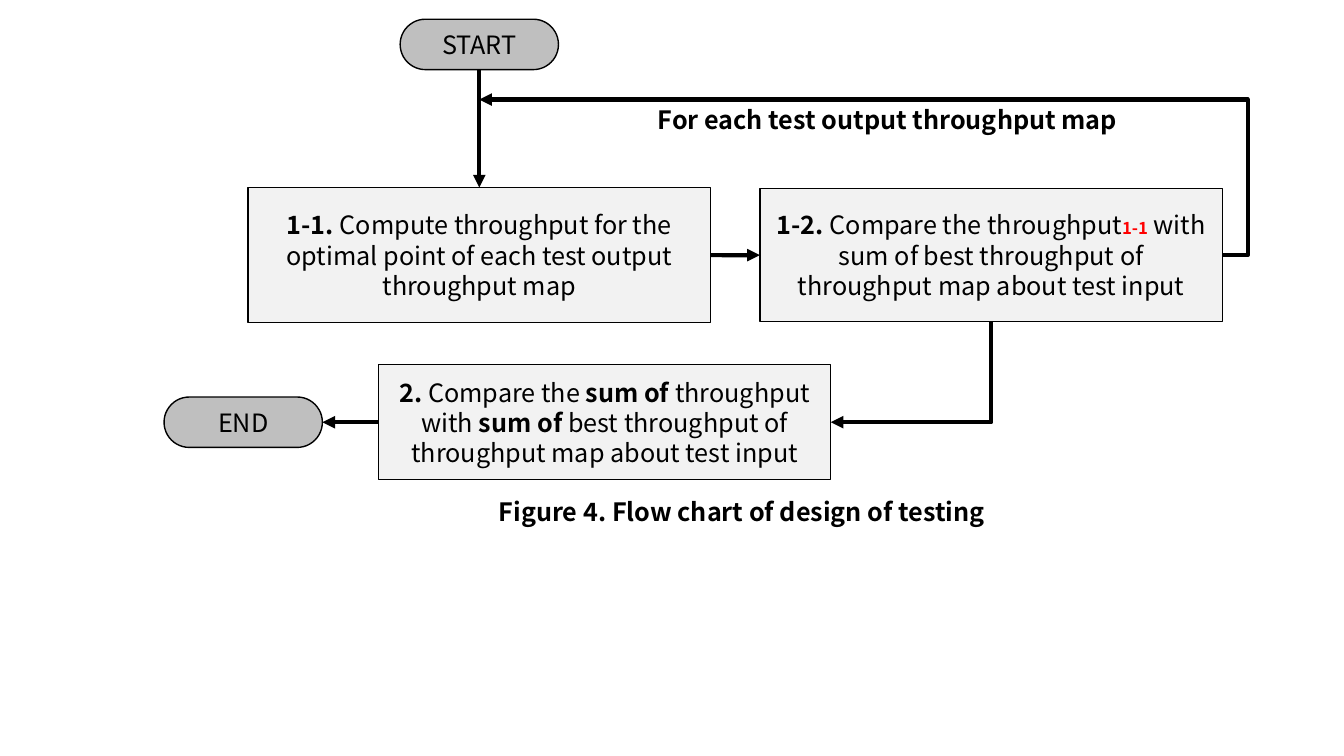
"""Build the flow chart slide for the design of testing."""
from lxml.etree import SubElement
from pptx import Presentation
from pptx.dml.color import RGBColor as RGB
from pptx.enum.shapes import MSO_CONNECTOR as Link, MSO_SHAPE as Form
from pptx.enum.text import MSO_ANCHOR as Anchor, MSO_AUTO_SIZE as Auto, PP_ALIGN as Align
from pptx.oxml.ns import qn
from pptx.util import Cm, Pt

FONT = "Noto Sans CJK KR"
BLACK = RGB(0, 0, 0)
RED = RGB(255, 0, 0)
GREY = RGB(0xBF, 0xBF, 0xBF)
PALE = RGB(0xF2, 0xF2, 0xF2)
PLAIN = (False, 18, BLACK)
BOLD = (True, 18, BLACK)
SMALL = (True, 12, RED)
TOP, LEFT, BOTTOM, RIGHT = range(4)

NODES = {
    "start": (12.08, 1.12, 3.99, 1.27, [("START", PLAIN)]),
    "compute": (12.08, 6.43, 11.66, 3.41, [
        ("1-1. ", BOLD),
        ("Compute throughput for the optimal point of each test output throughput map", PLAIN)]),
    "compare": (24.98, 6.43, 11.66, 3.36, [
        ("1-2. ", BOLD), ("Compare the throughput", PLAIN), ("1-1", SMALL),
        (" with sum of best throughput of throughput map about test input", PLAIN)]),
    "total": (15.24, 10.64, 11.39, 2.9, [
        ("2. ", BOLD), ("Compare the ", PLAIN), ("sum of ", BOLD),
        ("throughput with ", PLAIN), ("sum of ", BOLD),
        ("best throughput of throughput map about test input", PLAIN)]),
    "end": (6.13, 10.64, 3.99, 1.27, [("END", PLAIN)]),
}
ROUND = ("start", "end")
LINKS = [("start", BOTTOM, "compute", TOP),
         ("compute", RIGHT, "compare", LEFT),
         ("total", LEFT, "end", RIGHT)]
LABELS = [(16.33, 2.51, 12.09, "For each test output throughput map"),
          (12.32, 12.37, 12.93, "Figure 4. Flow chart of design of testing")]
LOOP_Y = 2.51
LOOP_OUT = 0.64


def write(para, runs):
    """Add styled runs to a paragraph."""
    for text, (bold, size, color) in runs:
        run = para.add_run()
        run.text = text
        font = run.font
        font.name, font.size, font.bold = FONT, Pt(size), bold
        font.color.rgb = color


def add_node(slide, name):
    """Draw one step around its centre."""
    x, y, wide, high, runs = NODES[name]
    form = Form.ROUNDED_RECTANGLE if name in ROUND else Form.RECTANGLE
    node = slide.shapes.add_shape(
        form, Cm(x - wide / 2), Cm(y - high / 2), Cm(wide), Cm(high))
    if name in ROUND:
        node.adjustments[0] = 0.5
    node.shadow.inherit = False
    node.fill.solid()
    node.fill.fore_color.rgb = GREY if name in ROUND else PALE
    node.line.color.rgb = BLACK
    node.line.width = Pt(1)
    frame = node.text_frame
    frame.word_wrap = True
    frame.vertical_anchor = Anchor.MIDDLE
    para = frame.paragraphs[0]
    para.alignment = Align.CENTER
    write(para, runs)
    return node


def add_arrow(slide, kind, x1, y1, x2, y2):
    """Draw a thick line with an arrowhead at its end."""
    arrow = slide.shapes.add_connector(kind, Cm(x1), Cm(y1), Cm(x2), Cm(y2))
    arrow.line.color.rgb = BLACK
    arrow.line.width = Pt(3)
    props = arrow.element.spPr
    SubElement(props.find(qn("a:ln")), qn("a:tailEnd"), type="triangle")
    SubElement(props, qn("a:effectLst"))
    return arrow


def add_loop(slide):
    """Draw the way back from the comparison to the first step."""
    x, y, wide = NODES["compare"][:3]
    right, back = x + wide / 2, NODES["start"][0]
    arrow = add_arrow(slide, Link.ELBOW, right, y, back, LOOP_Y)
    bend = round(-LOOP_OUT / (right - back) * 100000)
    guides = arrow.element.spPr.find(qn("a:prstGeom")).find(qn("a:avLst"))
    SubElement(guides, qn("a:gd"), name="adj1", fmla=f"val {bend}")


def add_drop(slide):
    """Draw the elbow that goes down, then left, to the last step."""
    x1, y, _, high = NODES["compare"][:4]
    x, y2, wide = NODES["total"][:3]
    y1, x2 = y + high / 2, x + wide / 2
    mid_x, mid_y = (x1 + x2) / 2, (y1 + y2) / 2
    half_w, half_h = (y2 - y1) / 2, (x1 - x2) / 2
    arrow = add_arrow(slide, Link.ELBOW, mid_x - half_w, mid_y - half_h,
                      mid_x + half_w, mid_y + half_h)
    props = arrow.element.spPr
    props.find(qn("a:xfrm")).set("rot", str(90 * 60000))
    props.find(qn("a:prstGeom")).set("prst", "bentConnector2")


def add_label(slide, x, y, wide, text):
    """Add one bold line of text."""
    frame = slide.shapes.add_textbox(Cm(x), Cm(y), Cm(wide), Cm(1.03)).text_frame
    frame.word_wrap = False
    frame.auto_size = Auto.SHAPE_TO_FIT_TEXT
    write(frame.paragraphs[0], [(text, BOLD)])


def main():
    """Draw the whole slide and save it."""
    deck = Presentation()
    deck.slide_width, deck.slide_height = Cm(33.87), Cm(19.05)
    slide = deck.slides.add_slide(deck.slide_layouts[6])
    nodes = {name: add_node(slide, name) for name in NODES}
    for tail, out, head, into in LINKS:
        arrow = add_arrow(slide, Link.STRAIGHT, 0, 0, 1, 1)
        arrow.begin_connect(nodes[tail], out)
        arrow.end_connect(nodes[head], into)
    add_loop(slide)
    add_drop(slide)
    for label in LABELS:
        add_label(slide, *label)
    deck.save("out.pptx")


if __name__ == "__main__":
    main()
